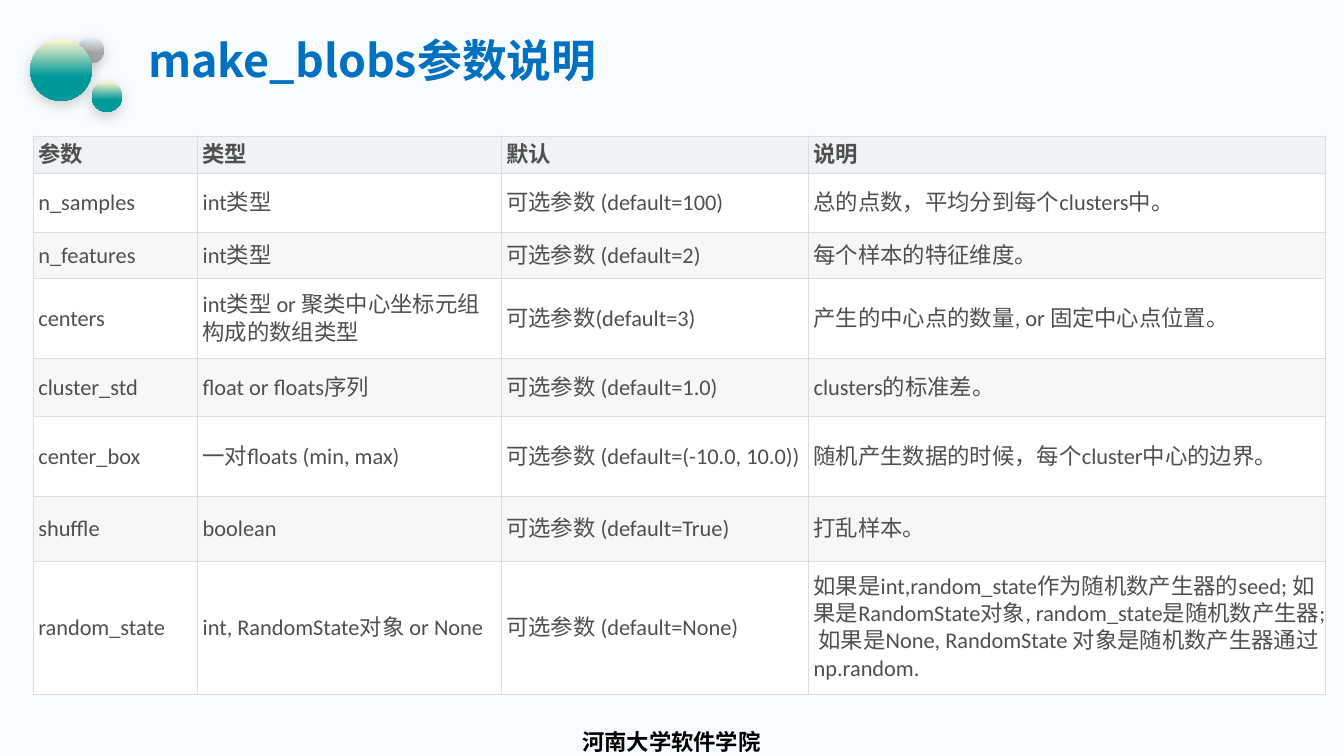
from dataclasses import dataclass
from typing import NamedTuple

from lxml.etree import SubElement as Sub
from pptx import Presentation
from pptx.dml.color import RGBColor as Rgb
from pptx.enum.shapes import MSO_SHAPE as Shape
from pptx.enum.text import MSO_ANCHOR as Anchor, MSO_AUTO_SIZE as Fit, PP_ALIGN as Align
from pptx.oxml.ns import qn
from pptx.util import Inches, Pt


@dataclass(frozen=True)
class Theme:
    back: str = "F8FCFE"
    title: str = "0070C0"
    foot: str = "000000"
    body: str = "4F4F4F"
    head: str = "EFF3F5"
    odd: str = "FFFFFF"
    even: str = "F7F7F7"
    rule: str = "DDDDDD"
    cream: str = "FFF6CF"
    teal: str = "009999"
    pale: str = "E1F0F9"
    gray: str = "A5A5A5"
    big: int = 32
    small: int = 16
    sans: str = "Calibri"
    wide: str = "Noto Sans CJK SC"
    base: str = "DejaVu Sans"


class Ball(NamedTuple):
    left: float
    top: float
    size: float
    light: str
    dark: str


class Row(NamedTuple):
    height: float
    name: str
    kind: str
    preset: str
    note: str


THEME = Theme()
BALLS = [
    Ball(0.77, 0.37, 0.26, THEME.pale, THEME.gray),
    Ball(0.91, 0.81, 0.3, THEME.cream, THEME.teal),
    Ball(0.3, 0.39, 0.61, THEME.cream, THEME.teal),
]
WIDTHS = [1.63, 3.01, 3.05, 5.13]
ROWS = [
    Row(0.31, "参数", "类型", "默认", "说明"),
    Row(0.59, "n_samples", "int类型", "可选参数 (default=100)", "总的点数，平均分到每个clusters中。"),
    Row(0.46, "n_features", "int类型", "可选参数 (default=2)", "每个样本的特征维度。"),
    Row(0.79, "centers", "int类型 or 聚类中心坐标元组构成的数组类型",
        "可选参数(default=3)", "产生的中心点的数量, or 固定中心点位置。"),
    Row(0.58, "cluster_std", "float or floats序列", "可选参数 (default=1.0)", "clusters的标准差。"),
    Row(0.79, "center_box", "一对floats (min, max)", "可选参数 (default=(-10.0, 10.0))",
        "随机产生数据的时候，每个cluster中心的边界。"),
    Row(0.64, "shuffle", "boolean", "可选参数 (default=True)", "打乱样本。"),
    Row(1.32, "random_state", "int, RandomState对象 or None", "可选参数 (default=None)",
        "如果是int,random_state作为随机数产生器的seed; 如果是RandomState对象, "
        "random_state是随机数产生器; 如果是None, RandomState 对象是随机数产生器通过np.random."),
]


def write(frame, text: str, *, size: int, color: str, face: str,
          bold: bool = False, align=Align.LEFT, lead: float = 1.0) -> None:
    para = frame.paragraphs[0]
    para.alignment = align
    para.line_spacing = lead
    run = para.add_run()
    run.text = text
    font = run.font
    font.size = Pt(size)
    font.bold = bold
    font.color.rgb = Rgb.from_string(color)
    font.name = face
    Sub(run._r.get_or_add_rPr(), qn("a:ea"), typeface=face)


def draw_ball(slide, ball: Ball) -> None:
    shape = slide.shapes.add_shape(
        Shape.OVAL, Inches(ball.left), Inches(ball.top), Inches(ball.size), Inches(ball.size))
    shape.line.fill.background()
    shape.fill.gradient()
    shape.fill.gradient_angle = 270
    stops = shape._element.spPr.find(qn("a:gradFill")).find(qn("a:gsLst"))
    for stop in list(stops):
        stops.remove(stop)
    for pos, color in [(1, ball.light), (60, ball.dark), (100, ball.dark)]:
        stop = Sub(stops, qn("a:gs"), pos=str(pos * 1000))
        Sub(stop, qn("a:srgbClr"), val=color)
    shape.shadow.inherit = False
    glow = shape._element.spPr.find(qn("a:effectLst"))
    shade = Sub(glow, qn("a:outerShdw"), blurRad=str(Pt(10)), dist=str(Pt(3)),
                dir="5400000", rotWithShape="0")
    tint = Sub(shade, qn("a:srgbClr"), val="000000")
    Sub(tint, qn("a:alpha"), val="20000")


def fill_cell(cell, text: str, back: str, bold: bool) -> None:
    cell.margin_left = cell.margin_right = Inches(0.05)
    cell.margin_top = cell.margin_bottom = Inches(0.05)
    cell.vertical_anchor = Anchor.MIDDLE
    write(cell.text_frame, text, size=THEME.small, color=THEME.body, face=THEME.sans, bold=bold)
    props = cell._tc.get_or_add_tcPr()
    for side in ("a:lnL", "a:lnR", "a:lnT", "a:lnB"):
        line = Sub(props, qn(side), w=str(Pt(0.75)))
        Sub(Sub(line, qn("a:solidFill")), qn("a:srgbClr"), val=THEME.rule)
    cell.fill.solid()
    cell.fill.fore_color.rgb = Rgb.from_string(back)


def draw_table(slide) -> None:
    table = slide.shapes.add_table(
        len(ROWS), len(WIDTHS), Inches(0.33), Inches(1.35),
        Inches(sum(WIDTHS)), Inches(sum(row.height for row in ROWS))).table
    table.first_row = table.horz_banding = False
    for col, width in zip(table.columns, WIDTHS):
        col.width = Inches(width)
    for i, row in enumerate(ROWS):
        table.rows[i].height = Inches(row.height)
        back = THEME.head if i == 0 else THEME.odd if i % 2 else THEME.even
        for j, text in enumerate(row[1:]):
            fill_cell(table.cell(i, j), text, back, i == 0)


def draw_title(slide) -> None:
    title = slide.shapes.title
    title.left, title.top = Inches(1.37), Inches(0.33)
    title.width, title.height = Inches(8.77), Inches(0.59)
    frame = title.text_frame
    frame.word_wrap = True
    frame.auto_size = Fit.SHAPE_TO_FIT_TEXT
    frame.vertical_anchor = Anchor.MIDDLE
    write(frame, "make_blobs参数说明", size=THEME.big, color=THEME.title,
          face=THEME.wide, bold=True, lead=0.9)


def draw_foot(slide) -> None:
    box = slide.shapes.add_textbox(Inches(4.93), Inches(7.17), Inches(3.46), Inches(0.33))
    box.text_frame.word_wrap = True
    write(box.text_frame, "河南大学软件学院", size=THEME.small, color=THEME.foot,
          face=THEME.base, bold=True, align=Align.CENTER)


def main() -> None:
    deck = Presentation()
    deck.slide_width, deck.slide_height = Inches(13.33), Inches(7.5)
    slide = deck.slides.add_slide(deck.slide_layouts[5])
    slide.background.fill.solid()
    slide.background.fill.fore_color.rgb = Rgb.from_string(THEME.back)
    draw_foot(slide)
    for ball in BALLS:
        draw_ball(slide, ball)
    draw_title(slide)
    draw_table(slide)
    deck.save("out.pptx")


if __name__ == "__main__":
    main()
